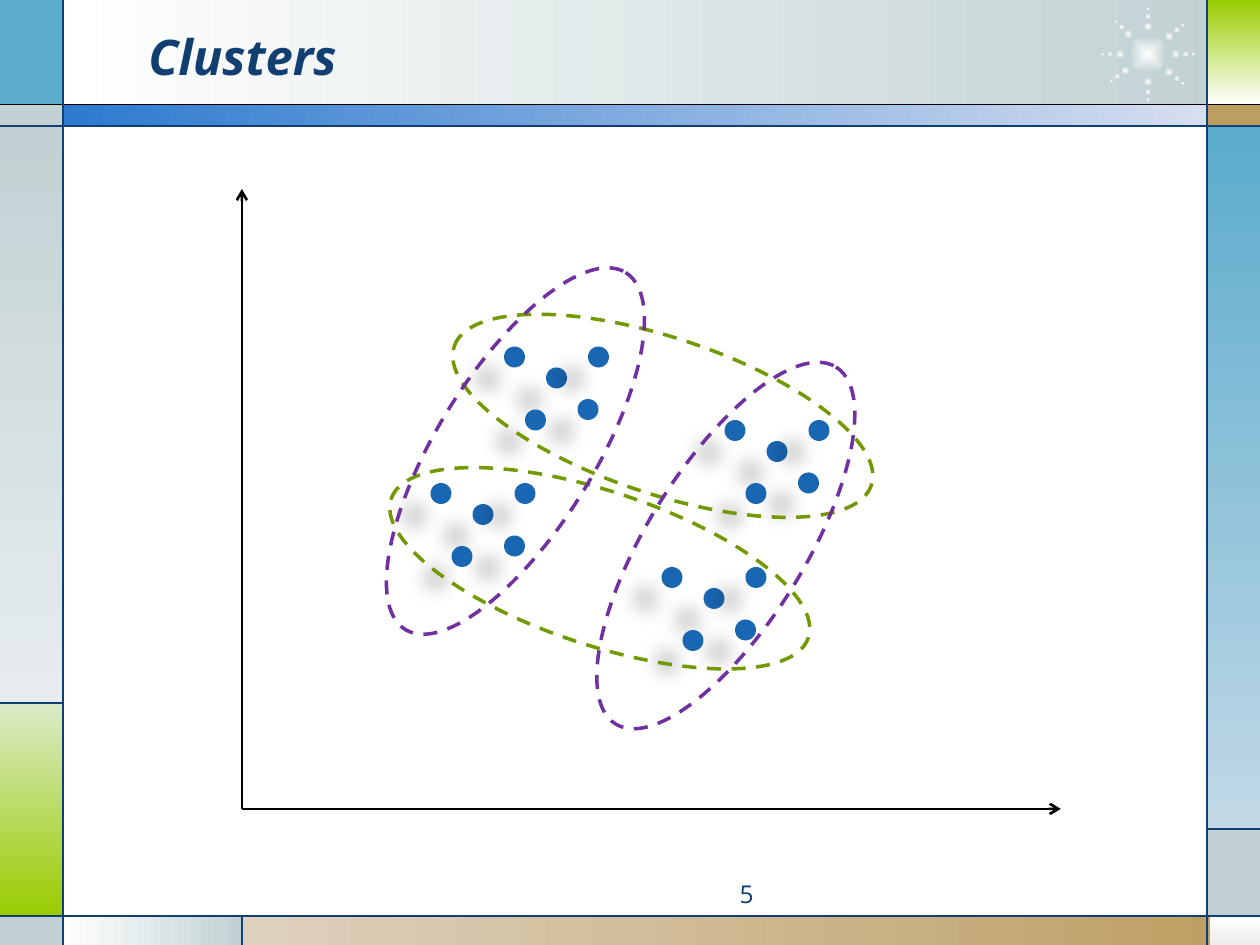
from math import cos, radians, sin
from typing import NamedTuple

from lxml.etree import SubElement
from pptx import Presentation
from pptx.dml.color import RGBColor
from pptx.enum.dml import MSO_LINE
from pptx.enum.shapes import MSO_CONNECTOR, MSO_SHAPE
from pptx.enum.text import MSO_ANCHOR, PP_ALIGN
from pptx.oxml import parse_xml
from pptx.oxml.ns import nsdecls, qn
from pptx.util import Inches, Pt

WHITE = RGBColor(0xFF, 0xFF, 0xFF)
BLACK = RGBColor(0x00, 0x00, 0x00)
NAVY = RGBColor(0x11, 0x3F, 0x71)
MIST = RGBColor(0xC1, 0xD1, 0xD3)
PALE_MIST = RGBColor(0xE7, 0xED, 0xEE)
SKY = RGBColor(0x5A, 0xAB, 0xCC)
PALE_SKY = RGBColor(0xC2, 0xD9, 0xE7)
LIME = RGBColor(0x99, 0xCC, 0x00)
PALE_LIME = RGBColor(0xDB, 0xEB, 0xC9)
TAN = RGBColor(0xBD, 0x9E, 0x61)
PALE_TAN = RGBColor(0xDE, 0xD1, 0xBF)
SILVER = RGBColor(0xED, 0xED, 0xED)
BLUE = RGBColor(0x2D, 0x7A, 0xCF)
PALE_BLUE = RGBColor(0xD7, 0xDE, 0xF0)
DOT_BLUE = RGBColor(0x19, 0x66, 0xB3)
OLIVE = RGBColor(0x73, 0x99, 0x00)
PURPLE = RGBColor(0x70, 0x30, 0xA0)

WIDTH, HEIGHT = 10, 7.5
# Frame grid: edges of the columns and rows
LEFT, STUB, RIGHT = 0.5, 1.92, 9.58
HEAD, BODY, FOOT = 0.83, 1, 7.27
LIME_TOP, MIST_TOP = 5.58, 6.58
ACROSS, DOWN = 0, 270  # gradient angles
UNIT = 1 / 12          # grid step of the dots, in inches


class Panel(NamedTuple):
    left: float
    top: float
    right: float
    bottom: float
    colors: tuple
    angle: int = ACROSS


class Rule(NamedTuple):
    x1: float
    y1: float
    x2: float
    y2: float


class Ring(NamedTuple):
    center_x: float
    center_y: float
    length: float
    breadth: float
    rotation: float
    color: RGBColor


PANELS = [
    Panel(LEFT, 0, 9.77, HEAD, (WHITE, MIST)),
    Panel(0, 0, LEFT, HEAD, (SKY,)),
    Panel(0, HEAD, LEFT, BODY, (MIST,)),
    Panel(0, BODY, LEFT, LIME_TOP, (MIST, PALE_MIST), DOWN),
    Panel(0, LIME_TOP, LEFT, FOOT, (PALE_LIME, LIME), DOWN),
    Panel(0, FOOT, LEFT, HEIGHT, (MIST,)),
    Panel(LEFT, FOOT, STUB, HEIGHT, (WHITE, MIST)),
    Panel(STUB, FOOT, WIDTH, HEIGHT, (PALE_TAN, TAN)),
    Panel(9.6, FOOT, WIDTH, HEIGHT, (WHITE, SILVER), DOWN),
    Panel(RIGHT, MIST_TOP, WIDTH, FOOT, (MIST,)),
    Panel(RIGHT, BODY, WIDTH, MIST_TOP, (SKY, PALE_SKY), DOWN),
    Panel(RIGHT, HEAD, WIDTH, BODY, (TAN,)),
    Panel(RIGHT, 0, WIDTH, HEAD, (LIME, WHITE), DOWN),
    Panel(LEFT, HEAD, RIGHT, BODY, (BLUE, PALE_BLUE)),
]
RULES = [
    Rule(0, BODY, WIDTH, BODY),
    Rule(0, FOOT, WIDTH, FOOT),
    Rule(LEFT, 0, LEFT, HEIGHT),
    Rule(RIGHT, 0, RIGHT, HEIGHT),
    Rule(LEFT, LIME_TOP, 0, LIME_TOP),
    Rule(STUB, FOOT, STUB, HEIGHT),
    Rule(RIGHT, MIST_TOP, WIDTH, MIST_TOP),
]
AXES = [Rule(STUB, 6.42, 8.42, 6.42), Rule(STUB, 6.42, STUB, 1.5)]

# Columns and rows of the dot grid
CLUSTERS = [(63, 54), (41, 46), (69, 40), (48, 33)]
CLUSTER_DOTS = [(7, 5), (0, 0), (4, 2), (2, 6), (8, 0)]
RINGS = [
    Ring(4.76, 4.51, 3.49, 1.22, 18.4, OLIVE),
    Ring(5.26, 3.3, 3.49, 1.24, 18.4, OLIVE),
    Ring(4.09, 3.58, 3.33, 1.25, 121.7, PURPLE),
    Ring(5.76, 4.33, 3.33, 1.25, 121.7, PURPLE),
]

STAR_X, STAR_Y, STAR_CORE = 9.11, 0.43, 0.3
SPOKE_ANGLES = (40, 0, 320, 90, 270, 226, 180, 144)
SPOKE_BEADS = [(0.3, 0.05), (0.36, 0.03), (0.22, 0.07)]  # radius, size

prs = Presentation()
prs.slide_width, prs.slide_height = Inches(WIDTH), Inches(HEIGHT)
slide = prs.slides.add_slide(prs.slide_layouts[6])


def apply(target: object, formats: dict) -> None:
    for key, value in formats.items():
        setattr(target, key, value)


def add_shape(kind: MSO_SHAPE, left: float, top: float, width: float,
              height: float, colors: tuple = (), angle: int = ACROSS):
    """Add an unlined shape with no fill, one colour or a gradient."""
    shape = slide.shapes.add_shape(
        kind, Inches(left), Inches(top), Inches(width), Inches(height))
    shape.shadow.inherit = False
    shape.line.fill.background()
    if not colors:
        shape.fill.background()
    elif len(colors) == 1:
        shape.fill.solid()
        shape.fill.fore_color.rgb = colors[0]
    else:
        shape.fill.gradient()
        shape.fill.gradient_angle = angle
        for stop, color in zip(shape.fill.gradient_stops, colors):
            stop.color.rgb = color
    return shape


def add_rule(rule: Rule, color: RGBColor, weight: float, arrow: bool = False) -> None:
    line = slide.shapes.add_connector(
        MSO_CONNECTOR.STRAIGHT, *(Inches(value) for value in rule))
    line.line.color.rgb = color
    line.line.width = Pt(weight)
    if arrow:
        SubElement(line.line._get_or_add_ln(), qn("a:tailEnd"), type="arrow")
    SubElement(line._element.spPr, qn("a:effectLst"))


def add_glow(x: float, y: float, size: float) -> None:
    """Add a round bead that fades from its centre."""
    bead = add_shape(MSO_SHAPE.OVAL, x - size / 2, y - size / 2, size, size, (WHITE, MIST))
    gradient = bead._element.spPr.find(qn("a:gradFill"))
    gradient.replace(gradient.find(qn("a:lin")), parse_xml(
        f'<a:path {nsdecls("a")} path="shape">'
        '<a:fillToRect l="50000" t="50000" r="50000" b="50000"/></a:path>'))


def add_dot(column: int, row: int) -> None:
    dot = add_shape(MSO_SHAPE.OVAL, column * UNIT, row * UNIT,
                    2 * UNIT, 2 * UNIT, (DOT_BLUE,))
    dot._element.spPr.find(qn("a:effectLst")).append(parse_xml(
        f'<a:outerShdw {nsdecls("a")} blurRad="{Pt(11.8)}" dist="{Pt(19.7)}" '
        f'dir="{141 * 60000}" algn="ctr" rotWithShape="0">'
        '<a:srgbClr val="000000"><a:alpha val="28000"/></a:srgbClr></a:outerShdw>'))


def add_ring(ring: Ring) -> None:
    oval = add_shape(MSO_SHAPE.OVAL, ring.center_x - ring.length / 2,
                     ring.center_y - ring.breadth / 2, ring.length, ring.breadth)
    oval.rotation = ring.rotation
    oval.line.color.rgb = ring.color
    apply(oval.line, {"width": Pt(2), "dash_style": MSO_LINE.DASH})


def add_text(text: str, left: float, top: float, width: float, height: float,
             font: dict, align: PP_ALIGN, anchor: MSO_ANCHOR) -> None:
    box = slide.shapes.add_textbox(
        Inches(left), Inches(top), Inches(width), Inches(height))
    apply(box.text_frame, {"text": text, "word_wrap": True, "vertical_anchor": anchor})
    paragraph = box.text_frame.paragraphs[0]
    paragraph.alignment = align
    run_font = paragraph.runs[0].font
    apply(run_font, {"name": "Open Sans", **font})
    run_font.color.rgb = NAVY


# Frame panels
for panel in PANELS:
    add_shape(MSO_SHAPE.RECTANGLE, panel.left, panel.top, panel.right - panel.left,
              panel.bottom - panel.top, panel.colors, panel.angle)

# Star ornament
add_glow(STAR_X, STAR_Y, STAR_CORE)
for spoke in SPOKE_ANGLES:
    for radius, size in SPOKE_BEADS:
        add_glow(STAR_X + radius * cos(radians(spoke)),
                 STAR_Y + radius * sin(radians(spoke)), size)

# Frame rules
add_rule(Rule(0, HEAD, WIDTH, HEAD), BLACK, 0.75)
for rule in RULES:
    add_rule(rule, NAVY, 0.75)

# Title and page number
add_text("Clusters", 1.08, 0.13, 7.33, 0.62,
         {"size": Pt(28), "bold": True, "italic": True}, PP_ALIGN.LEFT, MSO_ANCHOR.MIDDLE)
add_text("5", 3.75, 6.93, 2.33, 0.27, {"size": Pt(14)}, PP_ALIGN.RIGHT, MSO_ANCHOR.TOP)

# Plot: axes, dots and the two ways to group them
for axis in AXES:
    add_rule(axis, BLACK, 1.5, arrow=True)
for cluster_column, cluster_row in CLUSTERS:
    for column, row in CLUSTER_DOTS:
        add_dot(cluster_column + column, cluster_row + row)
for ring in RINGS:
    add_ring(ring)

prs.save("out.pptx")
